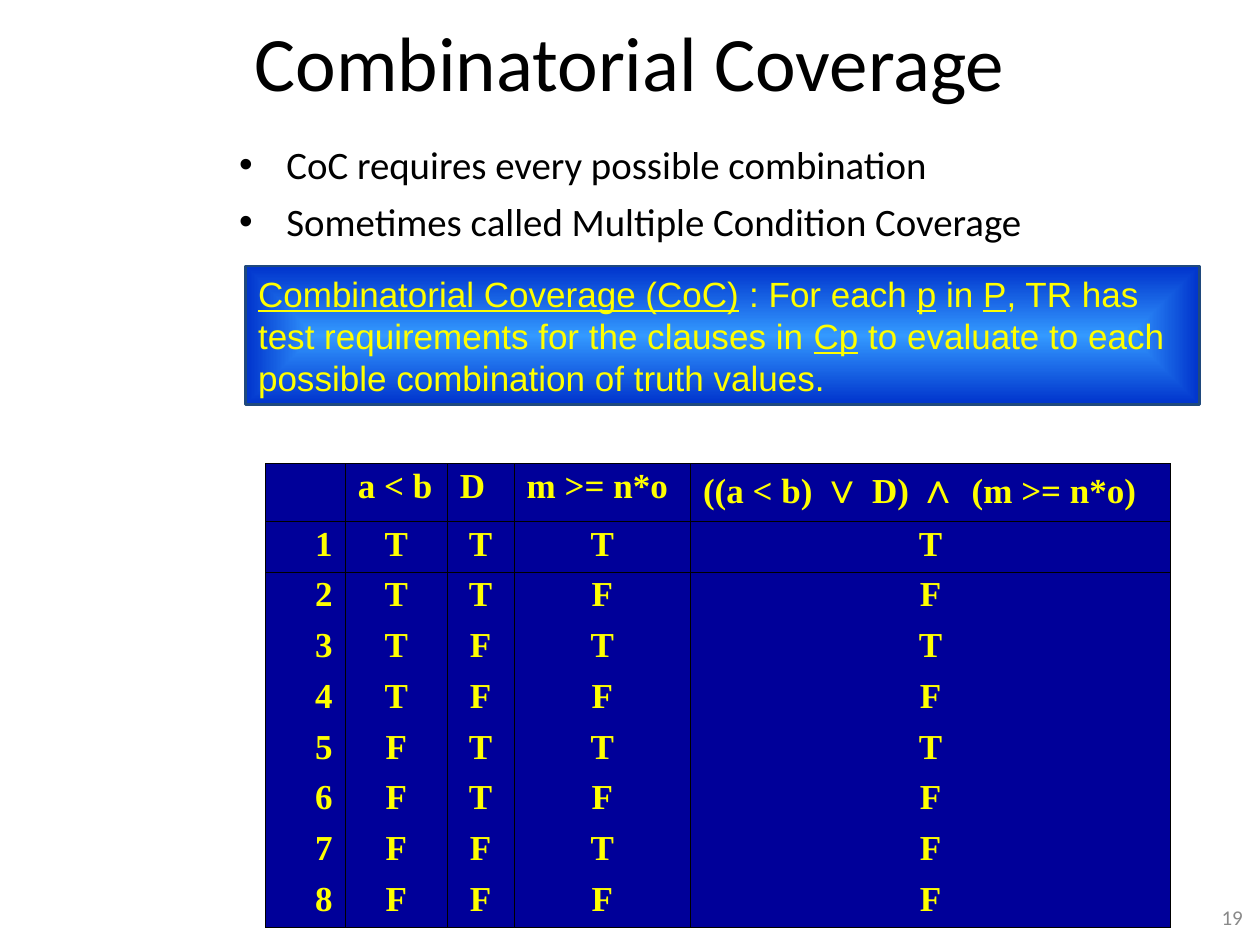
"""Build the Combinatorial Coverage slide with its definition and truth table."""
from lxml import etree
from pptx import Presentation
from pptx import util as u
from pptx.dml.color import RGBColor
from pptx.enum import shapes, text
from pptx.oxml.ns import qn

COLORS = {
    "ink": "000000", "number": "898989", "yellow": "FFFF00", "navy": "000099",
    "glow": "3399FF", "blue": "0033CC", "outline": "1F497D",
}
TITLE = "Combinatorial Coverage"
BULLETS = [
    "CoC requires every possible combination",
    "Sometimes called Multiple Condition Coverage",
]
DEFINITION = [
    ("Combinatorial Coverage (CoC)", True), (" : For each ", False), ("p", True),
    (" in ", False), ("P", True),
    (", TR has test requirements for the clauses in ", False), ("Cp", True),
    (" to evaluate to each possible combination of truth values.", False),
]
PREDICATE = [
    ("((a < b) ", "words"), ("∨", "symbol"), (" D) ", "words"),
    ("∧ ", "symbol"), ("(m >= n*o)", "words"),
]
HEADINGS = ["", "a < b", "D", "m >= n*o"]
TRUTH_ROWS = ["TTTT", "TTFF", "TFTT", "TFFF", "FTTT", "FTFF", "FFTF", "FFFF"]
SLIDE_NUMBER = "19"

COLUMN_WIDTHS = [45.4, 58.3, 38.2, 100.8, 274.3]
HEADER_HEIGHT, ROW_HEIGHT = 33.1, 29
BOXES = {
    "number": (567.4, 511.2, 149.8, 25.2),
    "title": (54, 3.6, 612, 62.6),
    "bullets": (129.6, 77, 552.2, 67),
    "definition": (140.4, 152, 545, 79.2),
    "table": (151.9, 265, sum(COLUMN_WIDTHS), HEADER_HEIGHT + ROW_HEIGHT * len(TRUTH_ROWS)),
}
FONTS = {
    "number": {"name": "Calibri", "size": u.Pt(12)},
    "title": {"name": "Calibri", "size": u.Pt(44)},
    "bullets": {"name": "Calibri", "size": u.Pt(22.2)},
    "definition": {"name": "Arial", "size": u.Pt(20)},
    "words": {"name": "Times New Roman", "size": u.Pt(20), "bold": True},
    "symbol": {"name": "Arial", "size": u.Pt(24), "bold": True},
}
FRAME = {
    "word_wrap": True, "margin_left": u.Pt(7.2), "margin_right": u.Pt(7.2),
    "margin_top": u.Pt(3.6), "margin_bottom": u.Pt(3.6),
}
LEFT, CENTER, RIGHT = text.PP_ALIGN.LEFT, text.PP_ALIGN.CENTER, text.PP_ALIGN.RIGHT
TOP, MIDDLE = text.MSO_ANCHOR.TOP, text.MSO_ANCHOR.MIDDLE
NO_STYLE = "{2D5ABB26-0587-4C30-8999-92F81FD0307C}"


def rgb(color):
    return RGBColor.from_string(COLORS[color])


def place(part):
    return [u.Pt(length) for length in BOXES[part]]


def apply(target, values):
    for name, value in values.items():
        setattr(target, name, value)


def add_run(paragraph, words, style, color, **extra):
    run = paragraph.add_run()
    run.text = words
    apply(run.font, {**FONTS[style], **extra})
    run.font.color.rgb = rgb(color)


def add_box(slide, part, lines, color, align, anchor):
    frame = slide.shapes.add_textbox(*place(part)).text_frame
    apply(frame, {**FRAME, "vertical_anchor": anchor})
    for index, line in enumerate(lines):
        paragraph = frame.add_paragraph() if index else frame.paragraphs[0]
        paragraph.alignment = align
        add_run(paragraph, line, part, color)
    return frame


def add_bullets(slide):
    frame = add_box(slide, "bullets", BULLETS, "ink", LEFT, TOP)
    for index, paragraph in enumerate(frame.paragraphs):
        properties = paragraph._p.get_or_add_pPr()
        properties.set("marL", str(u.Pt(27)))
        properties.set("indent", str(-u.Pt(27)))
        etree.SubElement(properties, qn("a:buFont"), typeface="Arial")
        etree.SubElement(properties, qn("a:buChar"), char="•")
        if index:
            paragraph.space_before = u.Pt(6)


def add_definition(slide):
    panel = slide.shapes.add_shape(shapes.MSO_SHAPE.RECTANGLE, *place("definition"))
    panel.shadow.inherit = False
    panel.fill.gradient()
    for stop, (position, color) in zip(panel.fill.gradient_stops, [(0, "glow"), (1, "blue")]):
        stop.position = position
        stop.color.rgb = rgb(color)
    gradient = panel._element.spPr.find(qn("a:gradFill"))
    gradient.remove(gradient.find(qn("a:lin")))
    spread = etree.SubElement(gradient, qn("a:path"), path="rect")
    etree.SubElement(spread, qn("a:fillToRect"), l="50000", t="50000", r="50000", b="50000")
    panel.line.color.rgb = rgb("outline")
    panel.line.width = u.Pt(1.5)
    apply(panel.text_frame, {**FRAME, "vertical_anchor": TOP})
    paragraph = panel.text_frame.paragraphs[0]
    paragraph.alignment = LEFT
    for words, underlined in DEFINITION:
        add_run(paragraph, words, "definition", "yellow", underline=underlined)


def add_border(cell, sides):
    properties = cell._tc.get_or_add_tcPr()
    for side in sides:
        line = etree.SubElement(properties, qn(f"a:ln{side}"), w=str(u.Pt(0.45)))
        fill = etree.SubElement(line, qn("a:solidFill"))
        etree.SubElement(fill, qn("a:srgbClr"), val=COLORS["ink"])


def add_truth_table(slide):
    headings = [[(heading, "words")] if heading else [] for heading in HEADINGS]
    rows = [headings + [PREDICATE]]
    for number, values in enumerate(TRUTH_ROWS, 1):
        rows.append([[(value, "words")] for value in (str(number), *values)])
    table = slide.shapes.add_table(len(rows), len(COLUMN_WIDTHS), *place("table")).table
    table._tbl.tblPr.find(qn("a:tableStyleId")).text = NO_STYLE
    for column, width in zip(table.columns, COLUMN_WIDTHS):
        column.width = u.Pt(width)
    for r, row in enumerate(rows):
        table.rows[r].height = u.Pt(ROW_HEIGHT if r else HEADER_HEIGHT)
        sides = "LR" + ("T" if r < 2 else "") + ("B" if r in (0, len(rows) - 1) else "")
        for c, pieces in enumerate(row):
            cell = table.cell(r, c)
            add_border(cell, sides)
            cell.fill.solid()
            cell.fill.fore_color.rgb = rgb("navy")
            paragraph = cell.text_frame.paragraphs[0]
            align = LEFT if r == 0 else CENTER if c else RIGHT
            apply(paragraph, {"alignment": align, "line_spacing": 0.9})
            for words, style in pieces:
                add_run(paragraph, words, style, "yellow")


def main():
    deck = Presentation()
    apply(deck, {"slide_width": u.Pt(720), "slide_height": u.Pt(540)})
    slide = deck.slides.add_slide(deck.slide_layouts[6])
    add_box(slide, "number", [SLIDE_NUMBER], "number", RIGHT, MIDDLE)
    add_box(slide, "title", [TITLE], "ink", CENTER, MIDDLE)
    add_bullets(slide)
    add_definition(slide)
    add_truth_table(slide)
    deck.save("out.pptx")


if __name__ == "__main__":
    main()
